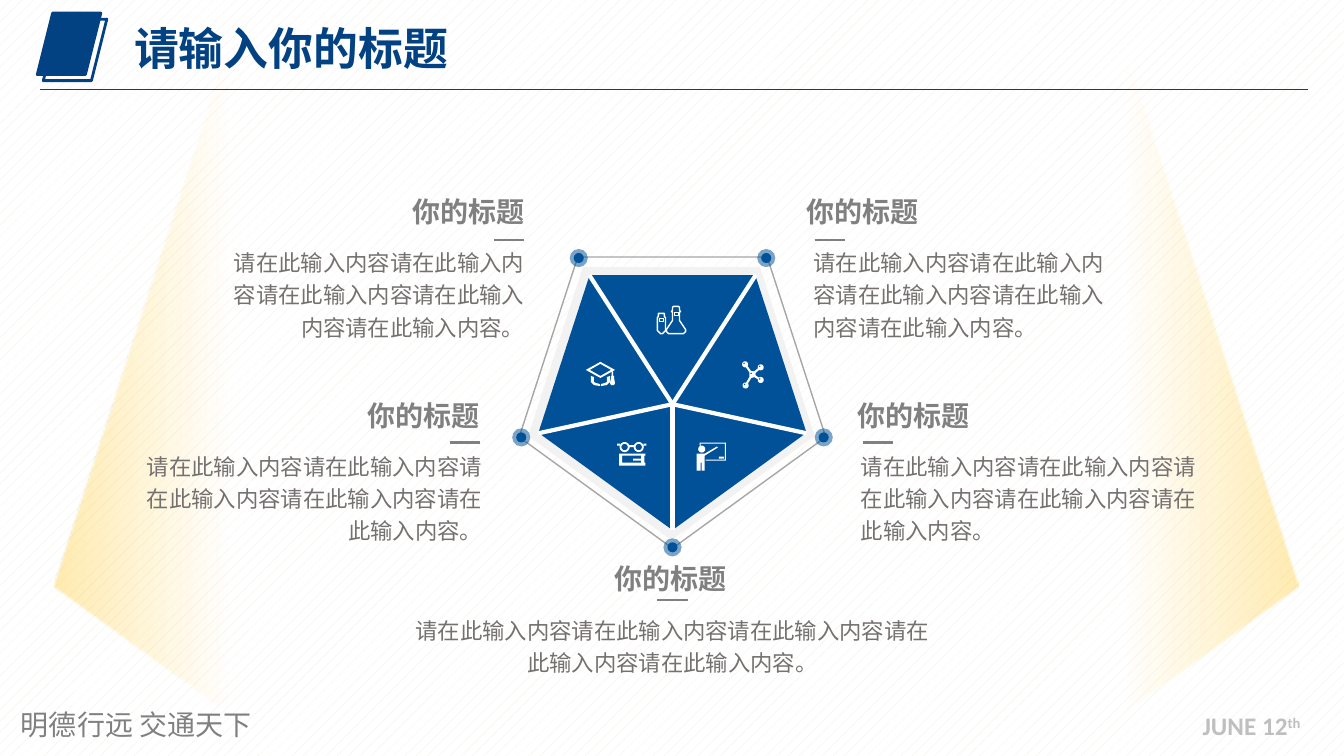
import math
from lxml import etree
from pptx import Presentation
from pptx.dml.color import RGBColor
from pptx.enum import dml, shapes, text
from pptx.oxml import ns
from pptx.util import Inches, Pt

COLORS = {"navy": "024282", "blue": "005197", "white": "FFFFFF", "pale": "F2F2F2",
          "paper": "EEECE1", "gray": "808080", "body": "767171", "outline": "A6A6A6",
          "date": "BFBFBF", "gold": "FFC000"}
SANS, SANS_JP, LATIN = "Noto Sans CJK SC", "Noto Sans CJK JP", "Calibri"
LEFT, CENTER, RIGHT = text.PP_ALIGN.LEFT, text.PP_ALIGN.CENTER, text.PP_ALIGN.RIGHT
SHAPE, ANCHOR = shapes.MSO_SHAPE, text.MSO_ANCHOR
HEADING = "你的标题"
BODY = "请在此输入内容" * 5 + "。"

# Corners of an inverted pentagon, as fractions of its box
CORNERS = [(0.19, 0), (0.81, 0), (1, 0.62), (0.5, 1), (0, 0.62)]


# Basic parts
def rgb(name):
    return RGBColor.from_string(COLORS[name])


def add_alpha(color_el, percent):
    etree.SubElement(color_el, ns.qn("a:alpha")).set("val", str(percent * 1000))


def style(sp, fill=None, line=None, width=1):
    sp.shadow.inherit = False
    if fill:
        sp.fill.solid()
        sp.fill.fore_color.rgb = rgb(fill)
    else:
        sp.fill.background()
    if line:
        sp.line.color.rgb = rgb(line)
        sp.line.width = Pt(width)
    else:
        sp.line.fill.background()
    return sp


def add_preset(parent, kind, box, fill=None, line=None, width=1):
    sp = parent.shapes.add_shape(kind, *map(Inches, box))
    return style(sp, fill, line, width)


def add_pentagon(s, box, fill=None, line=None):
    sp = add_preset(s, SHAPE.REGULAR_PENTAGON, box, fill, line)
    sp._element.spPr.find(ns.qn("a:xfrm")).set("flipV", "1")
    return sp


def add_line(s, start, end, color, width):
    c = s.shapes.add_connector(shapes.MSO_CONNECTOR.STRAIGHT, *map(Inches, start + end))
    c.line.color.rgb = rgb(color)
    c.line.width = Pt(width)
    etree.SubElement(c._element.spPr, ns.qn("a:effectLst"))


def add_run(p, content, size, color, font=SANS, bold=False):
    r = p.add_run()
    r.text = content
    r.font.size, r.font.bold, r.font.name = Pt(size), bold, font
    r.font.color.rgb = rgb(color)
    etree.SubElement(r._r.get_or_add_rPr(), ns.qn("a:ea")).set("typeface", font)
    return r


def add_text(s, box, content, size, color, font=SANS, bold=False, align=LEFT,
             anchor=ANCHOR.TOP, wrap=True, spacing=1.0):
    tf = s.shapes.add_textbox(*map(Inches, box)).text_frame
    tf.word_wrap, tf.vertical_anchor = wrap, anchor
    p = tf.paragraphs[0]
    p.alignment, p.line_spacing = align, spacing
    add_run(p, content, size, color, font, bold)
    return p


# Icon outlines, in hundredths of an inch from the icon's corner
def arc(cx, cy, radius, start, sweep, steps):
    angles = [start + sweep * i / steps for i in range(steps + 1)]
    return [(cx + radius * math.cos(a), cy + radius * math.sin(a)) for a in angles]


def disc(cx, cy, radius):
    return arc(cx, cy, radius, 0, 2 * math.pi, 16)


def bar(x, y, w, h):
    return [(x, y), (x + w, y), (x + w, y + h), (x, y + h)]


def diamond(cx, cy, rx, ry):
    return [(cx - rx, cy), (cx, cy - ry), (cx + rx, cy), (cx, cy + ry)]


def mirrored(half, axis):
    """Close a left half with its reflection in a vertical axis."""
    return half + [(2 * axis - x, y) for x, y in reversed(half)]


def flasks():
    flask = [(16, 0), (15, 1), (15, 4), (14, 5), (15, 6), (15, 14), (9, 23), (9, 25), (11, 27)]
    tube = [(1, 7), (1, 10), (0, 11), (0, 24), (3, 27)]
    return [mirrored(flask, 18.5), bar(17, 6, 4, 3), mirrored(tube, 4), bar(2, 12, 4, 3)]


def molecule():
    hub_x, hub_y = 11, 13.5
    atoms = [(19.5, 19), (4.5, 24.5), (4, 3.5), (19.5, 6.5)]
    outline = []
    for x, y in atoms:
        a = math.atan2(y - hub_y, x - hub_x)
        hub_side = arc(hub_x, hub_y, 3.6, a - 0.3, 0.6, 1)
        atom = arc(x, y, 3, a - math.pi + 0.35, 2 * math.pi - 0.7, 12)
        outline += hub_side[:1] + atom + hub_side[1:]
    return [outline] + [disc(x - 1, y - 1, 0.8) for x, y in atoms + [(hub_x, hub_y)]]


def teacher():
    head, torso, legs = disc(5, 6.5, 3.5), bar(0, 11, 8, 9), [bar(0, 20, 4, 8), bar(5, 20, 3, 8)]
    pointer = [(8, 11), (20, 4), (21, 5), (8, 13)]
    board = [bar(3, 0, 26, 1), bar(28, 1, 1, 16), bar(9, 17, 20, 1), bar(3, 1, 1, 2)]
    return [head, torso, pointer, bar(22, 14, 5, 2)] + legs + board


def graduation_cap():
    band = [(5, 14), (5, 20), (8, 23), (14, 24), (14, 22), (10, 21), (8, 20), (8, 15)]
    right_band = [(29 - x, y) for x, y in band]
    tassel = [bar(25.5, 9.7, 1.5, 4.3), mirrored([(25, 14), (25, 16), (24, 21), (25, 23)], 26.5)]
    return [diamond(14.5, 8, 14.5, 8), diamond(14.5, 8, 10.5, 6), band, right_band] + tassel


def book_and_glasses():
    book = [bar(5, 11, 23, 2), bar(2, 11, 3, 12), bar(5, 20, 23, 3),
            bar(24, 13, 3, 7), bar(16, 16, 8, 2)]
    lenses = [disc(cx, 4.5, radius) for cx in (7.5, 21.5) for radius in (5, 3.2)]
    return book + lenses + [bar(0, 1, 2.7, 2), bar(12.3, 2.5, 4.4, 2), bar(26.3, 1, 2.7, 2)]


def add_icon(s, at, contours, fill=None, line=None):
    fb = s.shapes.build_freeform(scale=Inches(1) / 10000)
    for contour in contours:
        (x, y), *rest = [(round(px * 100), round(py * 100)) for px, py in contour]
        fb.move_to(x, y)
        fb.add_line_segments(rest, close=True)
    style(fb.convert_to_shape(*map(Inches, at)), fill, line)


# Regions of the slide
def add_background(s):
    fill = s.background.fill
    fill.patterned()
    fill.pattern = dml.MSO_PATTERN.PERCENT_10
    fill.fore_color.rgb, fill.back_color.rgb = rgb("paper"), rgb("white")


def add_header(s, box):
    x, y, w, h = box
    # Stacked book mark
    mark = s.shapes.add_group_shape()
    for step, fill in ((0, "navy"), (0.06, None)):
        leaf = (x - 0.03 + step, y + step, 0.63, 0.61)
        add_preset(mark, SHAPE.PARALLELOGRAM, leaf, fill, "navy", 2)
    add_line(s, (x, y + h), (x + w, y + h), "navy", 0.75)
    # Title
    title = s.shapes.title
    title.left, title.top, title.width, title.height = map(Inches, (x + 0.83, y + 0.04, 5.51, 0.67))
    title.text_frame.vertical_anchor = ANCHOR.MIDDLE
    p = title.text_frame.paragraphs[0]
    p.alignment, p.line_spacing, p.space_before = LEFT, 0.9, Pt(0)
    add_run(p, "请输入你的标题", 32, "navy", bold=True)


def add_footer(s, box):
    x, y, w, h = box
    add_text(s, (x, y, 3.94, h), "明德行远 交通天下", 20, "gray", SANS_JP)
    p = add_text(s, (x + w - 1.2, y + 0.03, 1.2, 0.4), "JUNE 12", 18, "date", LATIN, True, wrap=False)
    suffix = add_run(p, "th", 18, "date", LATIN, True)
    suffix.font._element.set("baseline", "30000")


def add_glow(s, box):
    sp = add_pentagon(s, box)
    sp.fill.gradient()
    sp.fill.gradient_angle = 0
    stops = sp._element.spPr.find(ns.qn("a:gradFill")).find(ns.qn("a:gsLst"))
    for old in list(stops):
        stops.remove(old)
    for pos, opacity in ((0, 31), (14, 0), (86, 0), (100, 31)):
        gs = etree.SubElement(stops, ns.qn("a:gs"), pos=str(pos * 1000))
        add_alpha(etree.SubElement(gs, ns.qn("a:srgbClr"), val=COLORS["gold"]), opacity)


def add_wheel(s, box):
    x, y, w, h = box
    inner_x, inner_y, inner_w, inner_h = inner = (x + 0.19, y + 0.18, 2.66, 2.53)
    add_pentagon(s, (x + 0.09, y + 0.1, 2.84, 2.71), "pale")
    add_pentagon(s, inner, "blue")
    for fx, fy in CORNERS:
        corner = (inner_x + fx * inner_w, inner_y + fy * inner_h)
        add_line(s, corner, (x + w / 2, y + 1.46), "white", 3)
    add_pentagon(s, box, line="outline")
    # Corner dots: a translucent halo under a solid core
    for fx, fy in CORNERS:
        cx, cy = x + 0.02 + fx * (w - 0.04), y + 0.01 + fy * (h - 0.02)
        halo, core = [add_preset(s, SHAPE.OVAL, (cx - d / 2, cy - d / 2, d, d), "blue")
                      for d in (0.18, 0.1)]
        add_alpha(halo._element.spPr.find(ns.qn("a:solidFill"))[0], 52)
    # Sector icons
    add_icon(s, (x + 1.37, y + 0.49), flasks(), line="white")
    for dx, dy, icon in ((2.2, 1.03, molecule), (1.76, 1.84, teacher),
                         (0.66, 1.04, graduation_cap), (0.97, 1.84, book_and_glasses)):
        add_icon(s, (x + dx, y + dy), icon(), fill="white")


def add_caption(s, box, heading_at, rule_at, align):
    add_text(s, box, BODY, 16, "body", align=align, spacing=1.2)
    rule_x, rule_y = rule_at
    add_line(s, rule_at, (rule_x + 0.3, rule_y), "gray", 1.5)
    add_text(s, heading_at + (1.68, 0.47), HEADING, 20, "gray", bold=True, align=align,
             anchor=ANCHOR.BOTTOM, spacing=1.2)


def main():
    prs = Presentation()
    prs.slide_width, prs.slide_height = Inches(13.33), Inches(7.5)
    s = prs.slides.add_slide(prs.slide_layouts[5])
    add_background(s)
    add_footer(s, (0.11, 6.97, 12.92, 0.44))
    add_header(s, (0.4, 0.13, 12.57, 0.76))
    add_glow(s, (0.54, -1.45, 12.34, 11.76))
    add_wheel(s, (5.15, 2.55, 3.04, 2.89))
    for box, heading_at, rule_at, align in (
            ((2.08, 2.37, 3.22, 1.04), (3.62, 1.84), (4.9, 2.38), RIGHT),
            ((7.97, 2.37, 3.22, 1.04), (7.9, 1.84), (8.08, 2.38), LEFT),
            ((1.23, 4.39, 3.65, 1.04), (3.18, 3.87), (4.46, 4.39), RIGHT),
            ((8.44, 4.39, 3.66, 1.04), (8.41, 3.87), (8.56, 4.39), LEFT),
            ((3.99, 6.02, 5.36, 0.72), (5.81, 5.48), (6.52, 5.95), CENTER)):
        add_caption(s, box, heading_at, rule_at, align)
    prs.save("out.pptx")


if __name__ == "__main__":
    main()
